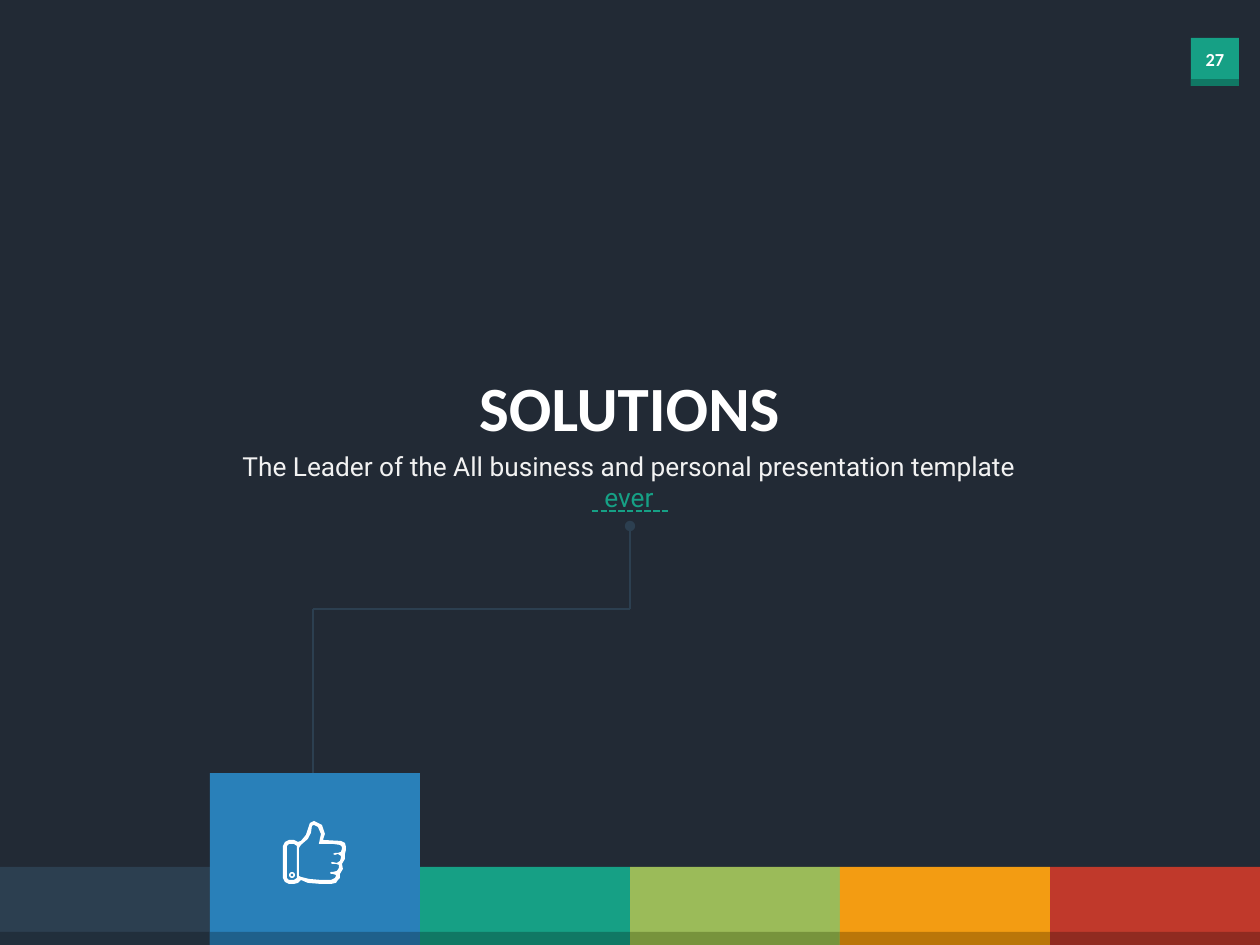
from dataclasses import dataclass
from typing import NamedTuple, Optional

from lxml.etree import SubElement
from pptx import Presentation
from pptx.dml.color import RGBColor
from pptx.enum.dml import MSO_LINE
from pptx.enum.shapes import MSO_CONNECTOR, MSO_SHAPE
from pptx.enum.text import PP_ALIGN
from pptx.oxml.ns import qn
from pptx.shapes.autoshape import Shape
from pptx.slide import Slide
from pptx.util import Emu, Pt

EMU_PER_PX = 914400 / 126


@dataclass(frozen=True)
class Theme:
    background: str = "222A35"
    white: str = "FFFFFF"
    body: str = "F2F2F2"
    accent: str = "16A085"
    accent_shade: str = "107864"
    guide: str = "2C3F50"
    heading_font: str = "Calibri"
    body_font: str = "Roboto"
    title_size: float = 36
    subtitle_size: float = 15
    page_size: float = 10.5
    line_width: float = 1.25


class Box(NamedTuple):
    left: int
    top: int
    width: int
    height: int


class Tile(NamedTuple):
    color: str
    shade: str
    top: int = 867


class Guide(NamedTuple):
    start: tuple[int, int]
    end: tuple[int, int]
    color: str
    dash: Optional[MSO_LINE] = None
    oval_start: bool = False


class Label(NamedTuple):
    box: Box
    runs: list[tuple[str, str]]
    font: str
    size: float
    bold: bool = True
    wrap: bool = False


THEME = Theme()
SLIDE_WIDTH, SLIDE_HEIGHT = 1260, 945
SHADE_HEIGHT = 13

TILES = [
    Tile(THEME.guide, "212F3C"),
    Tile("2980B9", "1F608B", top=773),
    Tile(THEME.accent, THEME.accent_shade),
    Tile("9BBB59", "77933C"),
    Tile("F39C12", "BA7609"),
    Tile("C0392B", "902B20"),
]

GUIDES = [
    Guide((313, 609), (630, 609), THEME.guide),
    Guide((313, 609), (313, 773), THEME.guide),
    Guide((630, 526), (630, 609), THEME.guide, oval_start=True),
    Guide((592, 511), (668, 511), THEME.accent, dash=MSO_LINE.SQUARE_DOT),
]

LABELS = [
    Label(Box(1191, 42, 48, 35), [("27", THEME.white)],
          THEME.heading_font, THEME.page_size),
    Label(Box(465, 362, 329, 89), [("SOLUTIONS", THEME.white)],
          THEME.heading_font, THEME.title_size),
    Label(Box(219, 444, 820, 44),
          [("The Leader of the All business and personal presentation template ",
            THEME.body), ("ever", THEME.accent)],
          THEME.body_font, THEME.subtitle_size, bold=False, wrap=True),
]

THUMB_ORIGIN = (283, 821)
THUMB_OUTLINE = [
    (58, 20), (40, 19), (42, 13), (39, 4), (31, 0), (27, 2), (26, 5), (23, 14),
    (18, 20), (15, 21), (11, 19), (6, 19), (2, 21), (0, 25), (0, 57), (2, 61),
    (6, 63), (11, 63), (15, 62), (18, 59), (25, 62), (38, 63), (48, 63),
    (53, 62), (55, 59), (57, 57), (57, 53), (60, 48), (59, 43), (62, 38),
    (62, 33), (63, 29), (63, 26), (62, 22),
]
CUFF = [(14, 57), (11, 59), (6, 59), (4, 57), (4, 25), (6, 23), (11, 23), (14, 25)]
HAND = [
    (59, 28), (58, 31), (55, 32), (52, 32), (50, 33), (52, 34), (55, 33),
    (58, 35), (58, 37), (57, 40), (54, 42), (49, 41), (48, 42), (49, 43),
    (53, 43), (56, 44), (56, 47), (54, 50), (50, 51), (48, 51), (47, 52),
    (48, 53), (50, 53), (53, 54), (53, 55), (52, 57), (48, 59), (38, 59),
    (26, 58), (18, 56), (16, 55), (16, 27), (18, 24), (25, 18), (28, 12),
    (29, 5), (31, 4), (35, 6), (38, 13), (37, 18), (36, 23), (50, 23),
    (57, 24), (59, 26),
]
BUTTON = Box(289, 872, 6, 6)


def px(length: int) -> Emu:
    return Emu(round(length * EMU_PER_PX))


def rgb(color: str) -> RGBColor:
    return RGBColor.from_string(color)


def paint(shape: Shape, color: str) -> None:
    shape.shadow.inherit = False
    shape.fill.solid()
    shape.fill.fore_color.rgb = rgb(color)
    shape.line.fill.background()


def draw_block(slide: Slide, box: Box, color: str,
               kind: MSO_SHAPE = MSO_SHAPE.RECTANGLE) -> Shape:
    block = slide.shapes.add_shape(kind, *map(px, box))
    paint(block, color)
    return block


def draw_tile(slide: Slide, column: int, tile: Tile) -> None:
    width = SLIDE_WIDTH // len(TILES)
    left = column * width
    draw_block(slide, Box(left, tile.top, width, SLIDE_HEIGHT - tile.top), tile.color)
    draw_block(slide, Box(left, SLIDE_HEIGHT - SHADE_HEIGHT, width, SHADE_HEIGHT),
               tile.shade)


def draw_guide(slide: Slide, guide: Guide) -> None:
    connector = slide.shapes.add_connector(
        MSO_CONNECTOR.STRAIGHT, *map(px, guide.start + guide.end))
    connector.line.width = Pt(THEME.line_width)
    connector.line.color.rgb = rgb(guide.color)
    if guide.dash is not None:
        connector.line.dash_style = guide.dash
    properties = connector._element.spPr
    if guide.oval_start:
        SubElement(properties.find(qn("a:ln")), qn("a:headEnd"), type="oval")
    SubElement(properties, qn("a:effectLst"))


def draw_label(slide: Slide, label: Label) -> None:
    frame = slide.shapes.add_textbox(*map(px, label.box)).text_frame
    frame.word_wrap = label.wrap
    paragraph = frame.paragraphs[0]
    paragraph.alignment = PP_ALIGN.CENTER
    paragraph.font.name = label.font
    paragraph.font.size = Pt(label.size)
    paragraph.font.bold = label.bold
    for words, color in label.runs:
        run = paragraph.add_run()
        run.text = words
        run.font.color.rgb = rgb(color)


def draw_thumb(slide: Slide) -> None:
    builder = slide.shapes.build_freeform(*THUMB_OUTLINE[0], scale=EMU_PER_PX)
    builder.add_line_segments(THUMB_OUTLINE[1:])
    for hole in (CUFF, HAND):
        builder.move_to(*hole[0])
        builder.add_line_segments(hole[1:])
    paint(builder.convert_to_shape(*map(px, THUMB_ORIGIN)), THEME.white)
    button = draw_block(slide, BUTTON, THEME.white, MSO_SHAPE.DONUT)
    button.adjustments[0] = 0.27


def main() -> None:
    deck = Presentation()
    deck.slide_width, deck.slide_height = px(SLIDE_WIDTH), px(SLIDE_HEIGHT)
    slide = deck.slides.add_slide(deck.slide_layouts[6])
    slide.background.fill.solid()
    slide.background.fill.fore_color.rgb = rgb(THEME.background)

    draw_block(slide, Box(1191, 38, 48, 48), THEME.accent)
    draw_block(slide, Box(1191, 79, 48, 7), THEME.accent_shade)
    for column, tile in enumerate(TILES):
        draw_tile(slide, column, tile)
    for guide in GUIDES:
        draw_guide(slide, guide)
    for label in LABELS:
        draw_label(slide, label)
    draw_thumb(slide)
    deck.save("out.pptx")


if __name__ == "__main__":
    main()
